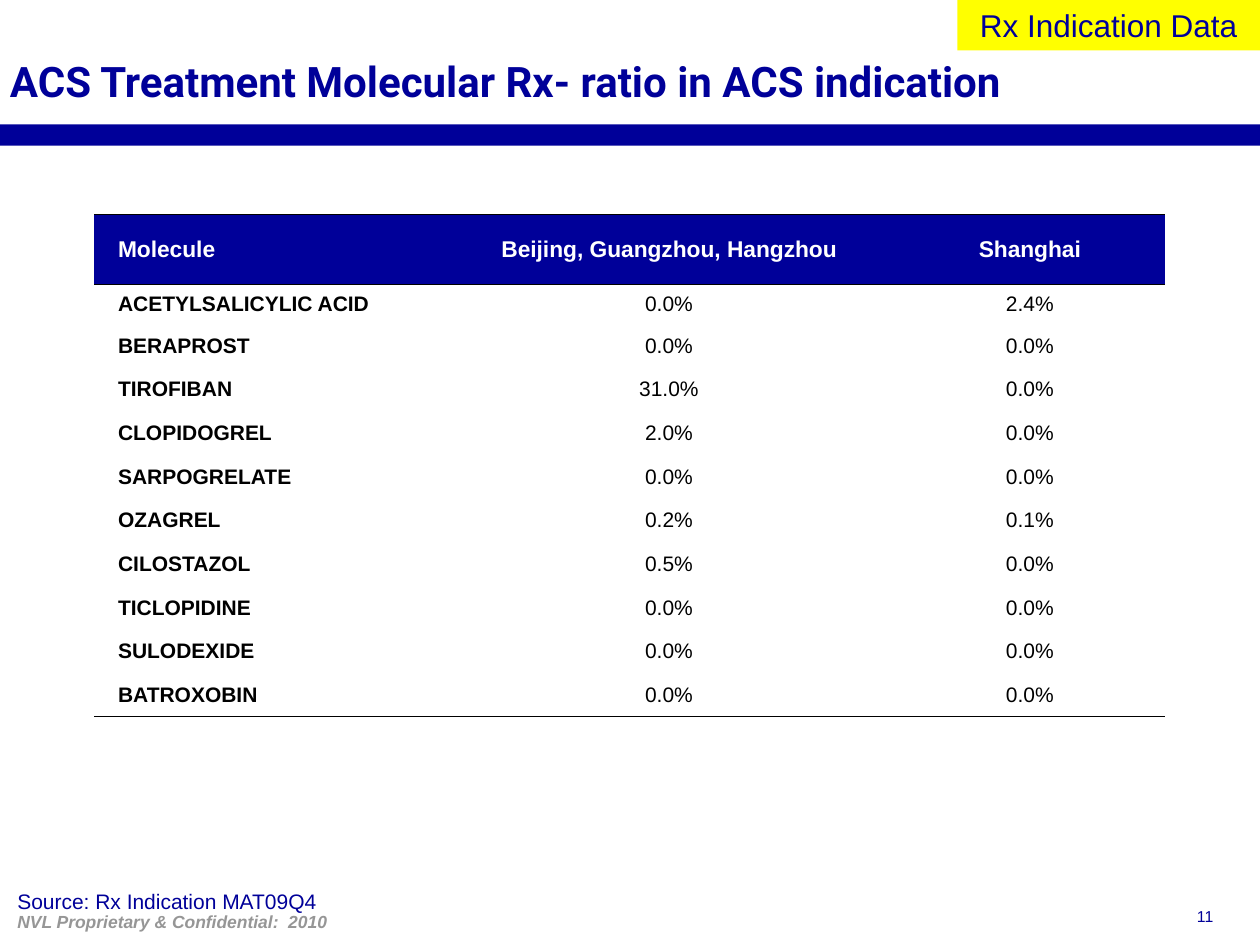
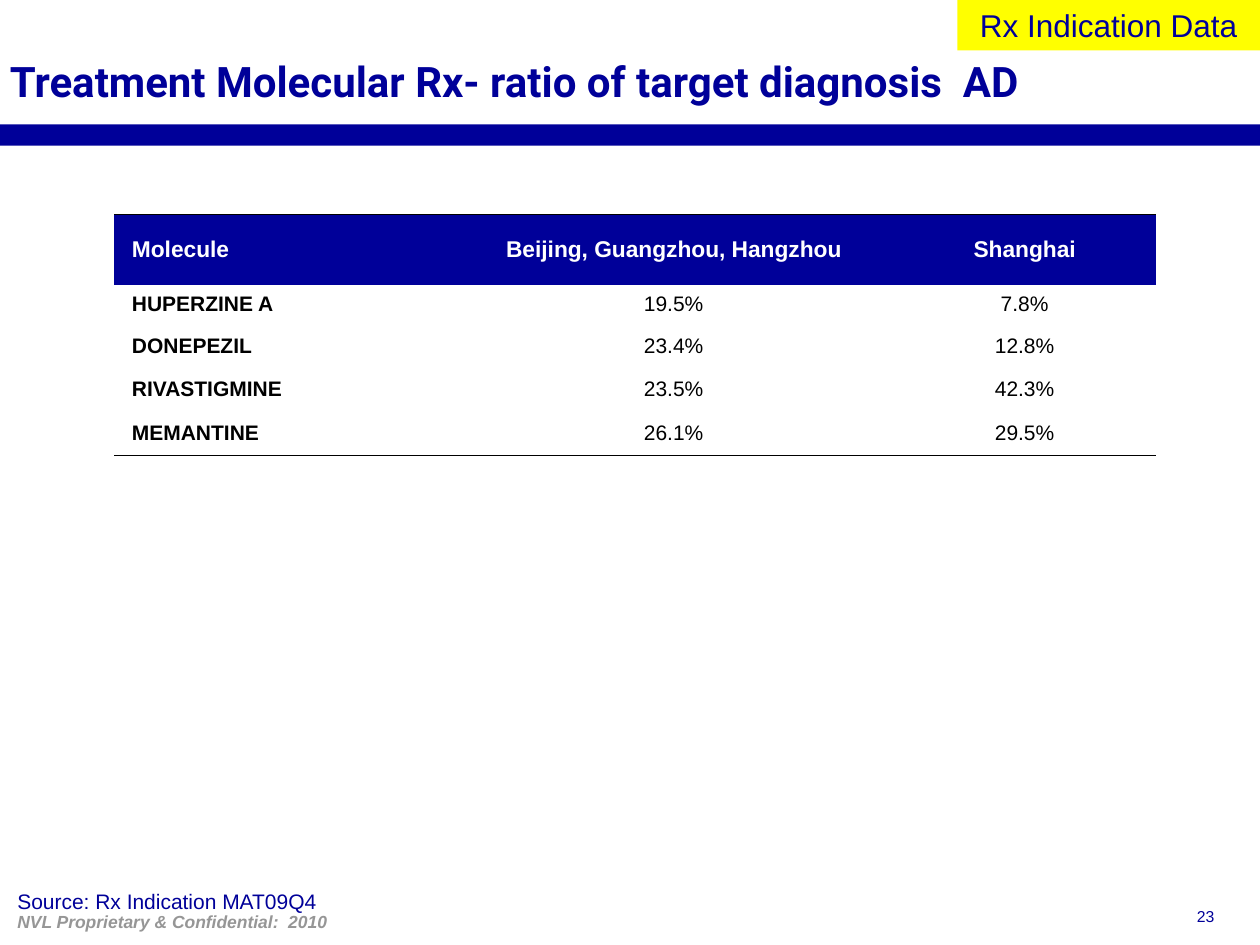
import dataclasses

import lxml.etree
import pptx
import pptx.dml.color
import pptx.enum.shapes
import pptx.enum.text
import pptx.oxml.ns
import pptx.util

Cm = pptx.util.Cm
Pt = pptx.util.Pt
Align = pptx.enum.text.PP_ALIGN
Anchor = pptx.enum.text.MSO_ANCHOR
qn = pptx.oxml.ns.qn

PLAIN_TABLE_STYLE = "{2D5ABB26-0587-4C30-8999-92F81FD0307C}"
INSETS = (0.25, 0.13, 0.25, 0.13)  # left, top, right, bottom in cm


@dataclasses.dataclass(frozen=True)
class Theme:
    # Colours
    navy: str = "000099"
    yellow: str = "FFFF00"
    grey: str = "969696"
    black: str = "000000"
    white: str = "FFFFFF"
    # Fonts
    heading_font: str = "Roboto"
    body_font: str = "Arial"
    # Type sizes in points
    title: int = 24
    tag: int = 18
    table_head: int = 13
    table_body: int = 12
    source: int = 12
    confidential: int = 10
    page: int = 9
    # Table rule width in points
    rule: float = 0.45


def rgb(color):
    return pptx.dml.color.RGBColor.from_string(color)


def write_text(frame, text, *, size, color, font, bold=False, italic=False,
               align=Align.LEFT):
    paragraph = frame.paragraphs[0]
    paragraph.alignment = align
    run = paragraph.add_run()
    run.text = text
    run.font.size = Pt(size)
    run.font.name = font
    run.font.bold = bold
    run.font.italic = italic
    run.font.color.rgb = rgb(color)


def set_insets(target, insets):
    (target.margin_left, target.margin_top,
     target.margin_right, target.margin_bottom) = map(Cm, insets)


def add_rule(cell, side, color, width):
    line = lxml.etree.Element(qn(f"a:{side}"), w=str(Pt(width)))
    fill = lxml.etree.SubElement(line, qn("a:solidFill"))
    lxml.etree.SubElement(fill, qn("a:srgbClr"), val=color)
    cell._tc.get_or_add_tcPr().insert(0, line)


class Deck:
    def __init__(self, theme):
        self.theme = theme
        self.presentation = pptx.Presentation()
        self.presentation.slide_width = Cm(25.4)
        self.presentation.slide_height = Cm(19.05)
        self.slide = None

    def new_slide(self, title, page):
        theme = self.theme
        layout = self.presentation.slide_layouts.get_by_name("Title Only")
        self.slide = self.presentation.slides.add_slide(layout)
        self.title(title)
        # Band under the title and data tag in the corner
        self.block(0, 2.51, 25.4, 0.43, theme.navy)
        tag = self.block(19.3, 0, 6.1, 1.02, theme.yellow)
        write_text(tag.text_frame, "Rx Indication Data", size=theme.tag,
                   color=theme.navy, font=theme.body_font, align=Align.CENTER)
        # Footer
        self.label("Source: Rx Indication MAT09Q4", 0.1, 17.78, 16.4, 0.76,
                   size=theme.source, color=theme.navy)
        self.label("NVL Proprietary & Confidential:  2010", 0.1, 18.24, 15.8, 0.69,
                   size=theme.confidential, color=theme.grey, bold=True, italic=True)
        self.label(page, 23.88, 18.14, 1.5, 0.64, size=theme.page, color=theme.navy)

    def title(self, text):
        heading = self.slide.shapes.title
        heading.left, heading.top = Cm(0.2), Cm(1.12)
        heading.width, heading.height = Cm(24.7), Cm(1.02)
        frame = heading.text_frame
        frame.auto_size = pptx.enum.text.MSO_AUTO_SIZE.NONE
        frame.vertical_anchor = Anchor.TOP
        set_insets(frame, (0, 0, 0, 0))
        write_text(frame, text, size=self.theme.title, color=self.theme.navy,
                   font=self.theme.heading_font, bold=True)

    def block(self, left, top, width, height, color):
        block = self.slide.shapes.add_shape(
            pptx.enum.shapes.MSO_SHAPE.RECTANGLE, Cm(left), Cm(top), Cm(width), Cm(height))
        block.shadow.inherit = False
        block.fill.solid()
        block.fill.fore_color.rgb = rgb(color)
        block.line.fill.background()
        block.text_frame.vertical_anchor = Anchor.MIDDLE
        set_insets(block.text_frame, INSETS)
        return block

    def label(self, text, left, top, width, height, **text_format):
        frame = self.slide.shapes.add_textbox(
            Cm(left), Cm(top), Cm(width), Cm(height)).text_frame
        frame.word_wrap = True
        set_insets(frame, INSETS)
        write_text(frame, text, font=self.theme.body_font, **text_format)

    def ratio_table(self, molecules, *, left, widths, indent, head_rule):
        theme = self.theme
        rows = [("Molecule", "Beijing, Guangzhou, Hangzhou", "Shanghai"), *molecules]
        heights = [1.42, 0.79] + [0.88] * (len(rows) - 2)
        table = self.slide.shapes.add_table(
            len(rows), len(widths), Cm(left), Cm(4.32),
            Cm(sum(widths)), Cm(sum(heights))).table
        table.horz_banding = False
        table._tbl.tblPr.find(qn("a:tableStyleId")).text = PLAIN_TABLE_STYLE
        for column, width in zip(table.columns, widths):
            column.width = Cm(width)
        for row, height in zip(table.rows, heights):
            row.height = Cm(height)

        for r, values in enumerate(rows):
            is_head = r == 0
            for c, value in enumerate(values):
                cell = table.cell(r, c)
                cell.vertical_anchor = Anchor.MIDDLE
                set_insets(cell, (indent if c == 0 else 0.25, *INSETS[1:]))
                write_text(cell.text_frame, value, font=theme.body_font,
                           size=theme.table_head if is_head else theme.table_body,
                           color=theme.white if is_head else theme.black,
                           bold=is_head or c == 0,
                           align=Align.LEFT if c == 0 else Align.CENTER)
                if is_head:
                    cell.fill.solid()
                    cell.fill.fore_color.rgb = rgb(theme.navy)
                    add_rule(cell, "lnB", head_rule, theme.rule)
                    add_rule(cell, "lnT", theme.black, theme.rule)
                else:
                    cell.fill.background()
                if r == len(rows) - 1:
                    add_rule(cell, "lnB", theme.black, theme.rule)


def main():
    theme = Theme()
    deck = Deck(theme)

    # Acute coronary syndrome
    deck.new_slide("ACS Treatment Molecular Rx- ratio in ACS indication", "11")
    deck.ratio_table([
        ("ACETYLSALICYLIC ACID", "0.0%", "2.4%"),
        ("BERAPROST", "0.0%", "0.0%"),
        ("TIROFIBAN", "31.0%", "0.0%"),
        ("CLOPIDOGREL", "2.0%", "0.0%"),
        ("SARPOGRELATE", "0.0%", "0.0%"),
        ("OZAGREL", "0.2%", "0.1%"),
        ("CILOSTAZOL", "0.5%", "0.0%"),
        ("TICLOPIDINE", "0.0%", "0.0%"),
        ("SULODEXIDE", "0.0%", "0.0%"),
        ("BATROXOBIN", "0.0%", "0.0%"),
    ], left=1.9, widths=(7.04, 9.09, 5.46), indent=0.48, head_rule=theme.black)

    # Alzheimer's disease
    deck.new_slide("Treatment Molecular Rx- ratio of target diagnosis  AD", "23")
    deck.ratio_table([
        ("HUPERZINE A", "19.5%", "7.8%"),
        ("DONEPEZIL", "23.4%", "12.8%"),
        ("RIVASTIGMINE", "23.5%", "42.3%"),
        ("MEMANTINE", "26.1%", "29.5%"),
    ], left=2.3, widths=(6.86, 8.84, 5.31), indent=0.36, head_rule=theme.navy)

    deck.presentation.save("out.pptx")


if __name__ == "__main__":
    main()
